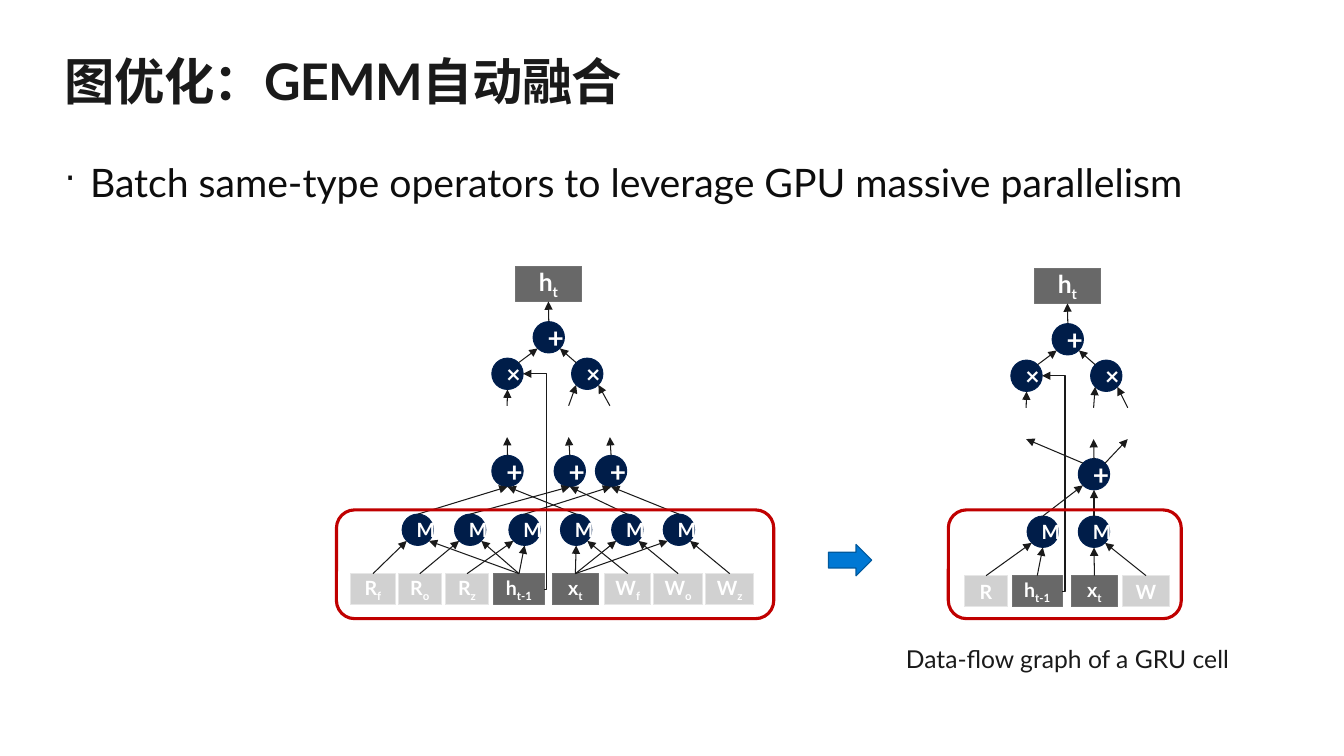
from lxml.etree import SubElement
from pptx import Presentation
from pptx.dml.color import RGBColor
from pptx.enum.shapes import MSO_CONNECTOR as LINK, MSO_SHAPE as SHAPE
from pptx.enum.text import PP_ALIGN as ALIGN
from pptx.oxml.ns import qn
from pptx.util import Cm, Pt

INK = RGBColor(0x1A, 0x1A, 0x1A)
BODY = RGBColor(0x0D, 0x0D, 0x0D)
WHITE = RGBColor(0xFF, 0xFF, 0xFF)
NAVY, NAVY_EDGE = RGBColor(0x00, 0x1D, 0x49), RGBColor(0x00, 0x20, 0x50)
DARK, DARK_EDGE = RGBColor(0x68, 0x68, 0x68), RGBColor(0x73, 0x73, 0x73)
LIGHT, LIGHT_EDGE = RGBColor(0xD1, 0xD1, 0xD1), RGBColor(0xE6, 0xE6, 0xE6)
RED = RGBColor(0xC0, 0x00, 0x00)
BLUE, BLUE_EDGE = RGBColor(0x00, 0x78, 0xD4), RGBColor(0x00, 0x59, 0x9D)

STYLES = {
    "op": (SHAPE.OVAL, NAVY, NAVY_EDGE),
    "state": (SHAPE.RECTANGLE, DARK, DARK_EDGE),
    "weight": (SHAPE.RECTANGLE, LIGHT, LIGHT_EDGE),
}
# Points on a node, as shares of its half width and half height
SITES = {"T": (0, -1), "B": (0, 1), "R": (1, 0), "TL": (-0.71, -0.71),
         "TR": (0.71, -0.71), "BL": (-0.71, 0.71), "BR": (0.71, 0.71)}
NODE = 0.79


def write(shape, text, sub="", size=14, color=WHITE, bold=True, align=ALIGN.CENTER):
    """Fill the first paragraph with text and an optional subscript."""
    p = shape.text_frame.paragraphs[0]
    p.alignment = align
    for part in filter(None, (text, sub)):
        r = p.add_run()
        r.text = part
        r.font.name, r.font.size, r.font.bold = "Lato", Pt(size), bold
        r.font.color.rgb = color
    if sub:
        r.font._element.set("baseline", "-25000")
    return p


def arrow(start, end, kind=LINK.STRAIGHT):
    """Join two (node box, site) ends, the head at the second."""
    ends = []
    for (x, y, w, h), site in (start, end):
        dx, dy = SITES[site]
        ends += [Cm(x + dx * w / 2), Cm(y + dy * h / 2)]
    c = s.shapes.add_connector(kind, *ends)
    c.line.color.rgb, c.line.width = INK, Pt(0.75)
    SubElement(c.line._get_or_add_ln(), qn("a:tailEnd"), type="triangle")
    SubElement(c._element.spPr, qn("a:effectLst"))
    return c


prs = Presentation()
prs.slide_width, prs.slide_height = Cm(33.87), Cm(19.05)
s = prs.slides.add_slide(prs.slide_layouts[6])

# Title, bullet and caption
texts = [
    ("图优化：GEMM自动融合", 1.63, 1.27, 30.61, 1.55, 36, INK, True, 0),
    ("Batch same-type operators to leverage GPU massive parallelism",
     1.63, 3.99, 30.61, 4.47, 28, BODY, False, 0),
    ("Data-flow graph of a GRU cell", 22.58, 16.1, 9.09, 1.02, 17.6, INK, False, 0.25),
]
paragraphs = []
for text, x, y, w, h, size, color, bold, inset in texts:
    sp = s.shapes.add_textbox(Cm(x), Cm(y), Cm(w), Cm(h))
    tf = sp.text_frame
    tf.word_wrap = True
    tf.margin_left = tf.margin_right = Cm(inset)
    tf.margin_top = tf.margin_bottom = Cm(inset / 2)
    paragraphs.append(write(sp, text, size=size, color=color, bold=bold, align=ALIGN.LEFT))
title, bullet, caption = paragraphs
title.runs[0].font._element.set("spc", "-50")
pPr = bullet._p.get_or_add_pPr()
pPr.set("marL", str(Cm(0.64)))
pPr.set("indent", str(-Cm(0.64)))
SubElement(pPr, qn("a:buSzPct"), val="90000")
SubElement(pPr, qn("a:buChar"), char="·")

# Each cell: shift of its upper part, gate x, gate y, rows of (key, x, width), arrows
top_nodes = [("out", "state", "h", "t", 13.82, 7.15, 1.68, 0.89, 17.6),
             ("sum", "op", "+", "", 13.83, 8.5, NODE, NODE, 20),
             ("mulL", "op", "×", "", 12.79, 9.42, NODE, NODE, 17.6),
             ("mulR", "op", "×", "", 14.8, 9.42, NODE, NODE, 17.6)]
top_links = [("sum", "T", "out", "B"), ("mulL", "TR", "sum", "BL"),
             ("mulR", "TL", "sum", "BR"), ("gate1", "T", "mulL", "B"),
             ("gate2", "T", "mulR", "BL"), ("gate3", "T", "mulR", "BR")]
cells = [
    dict(dx=0, dy=0, gates=[12.78, 14.33, 15.37], adds=[12.79, 14.36, 15.4], add_y=11.87,
         matmuls=[10.53, 11.85, 13.22, 14.52, 15.81, 17.11],
         inputs=[("R", "f", 9.4, 1.12), ("R", "o", 10.58, 1.09), ("R", "z", 11.77, 1.09),
                 ("h", "t-1", 13.08, 1.27), ("x", "t", 14.5, 1.17), ("W", "f", 15.82, 1.17),
                 ("W", "o", 17.09, 1.22), ("W", "z", 18.39, 1.22)],
         links=[("Rf", "T", "M1", "BL"), ("Ro", "T", "M2", "BL"), ("Rz", "T", "M3", "BL"),
                ("ht-1", "T", "M1", "BR"), ("ht-1", "T", "M2", "BR"), ("ht-1", "T", "M3", "B"),
                ("xt", "T", "M4", "B"), ("xt", "T", "M5", "BL"), ("xt", "T", "M6", "BL"),
                ("Wf", "T", "M4", "BR"), ("Wo", "T", "M5", "BR"), ("Wz", "T", "M6", "BR")]
         + [(f"M{i + side}", "T", f"add{i}", "B") for i in (1, 2, 3) for side in (0, 3)]
         + [(f"add{i}", "T", f"gate{i}", "B") for i in (1, 2, 3)]),
    dict(dx=13.08, dy=0.05, gates=[25.86, 27.56, 28.42], adds=[27.57], add_y=11.95,
         matmuls=[26.28, 27.57],
         inputs=[("R", "", 24.85, 1.09), ("h", "t-1", 26.14, 1.27),
                 ("x", "t", 27.58, 1.17), ("W", "", 28.88, 1.17)],
         links=[("R", "T", "M1", "BL"), ("ht-1", "T", "M1", "B"), ("xt", "T", "M2", "B"),
                ("W", "T", "M2", "BR"), ("M1", "T", "add1", "BL"), ("M2", "T", "add1", "B"),
                ("add1", "TL", "gate1", "B"), ("add1", "T", "gate2", "B"),
                ("add1", "TR", "gate3", "B")]),
]

for cell in cells:
    dx, dy = cell["dx"], cell["dy"]
    nodes = [(key, style, text, sub, x + dx, y + dy, w, h, size)
             for key, style, text, sub, x, y, w, h, size in top_nodes]
    nodes += [(f"add{i}", "op", "+", "", x, cell["add_y"], NODE, NODE, 20)
              for i, x in enumerate(cell["adds"], 1)]
    nodes += [(f"M{i}", "op", "M", "", x, 13.35 + dy, NODE, NODE, 14)
              for i, x in enumerate(cell["matmuls"], 1)]
    nodes += [(text + sub, "state" if text in "hx" else "weight", text, sub,
               x, 14.85 + dy, w, NODE, 14) for text, sub, x, w in cell["inputs"]]
    boxes = {f"gate{i}": (x, 10.62 + dy, NODE, NODE) for i, x in enumerate(cell["gates"], 1)}
    for key, style, text, sub, x, y, w, h, size in nodes:
        kind, fill, edge = STYLES[style]
        sp = s.shapes.add_shape(kind, Cm(x - w / 2), Cm(y - h / 2), Cm(w), Cm(h))
        sp.shadow.inherit = False
        sp.fill.solid()
        sp.fill.fore_color.rgb = fill
        sp.line.color.rgb, sp.line.width = edge, Pt(0.75)
        write(sp, text, sub, size=size)
        boxes[key] = (x, y, w, h)
    for start, start_site, end, end_site in top_links + cell["links"]:
        arrow((boxes[start], start_site), (boxes[end], end_site))
    elbow = arrow((boxes["ht-1"], "R"), (boxes["mulL"], "R"), LINK.ELBOW)
    avLst = elbow._element.spPr.prstGeom.get_or_add_avLst()
    SubElement(avLst, qn("a:gd"), name="adj1", fmla="val -13000")

# Red frames around the batched operators, and the arrow between the cells
for kind, x, y, w, h, fill, edge, width in [
        (SHAPE.ROUNDED_RECTANGLE, 23.9, 12.85, 5.87, 2.74, None, RED, 2.25),
        (SHAPE.ROUNDED_RECTANGLE, 8.48, 12.85, 11.02, 2.74, None, RED, 2.25),
        (SHAPE.RIGHT_ARROW, 20.88, 13.72, 1.09, NODE, BLUE, BLUE_EDGE, 0.85)]:
    sp = s.shapes.add_shape(kind, Cm(x), Cm(y), Cm(w), Cm(h))
    sp.shadow.inherit = False
    if fill is None:
        sp.fill.background()
    else:
        sp.fill.solid()
        sp.fill.fore_color.rgb = fill
    sp.line.color.rgb, sp.line.width = edge, Pt(width)

prs.save("out.pptx")
